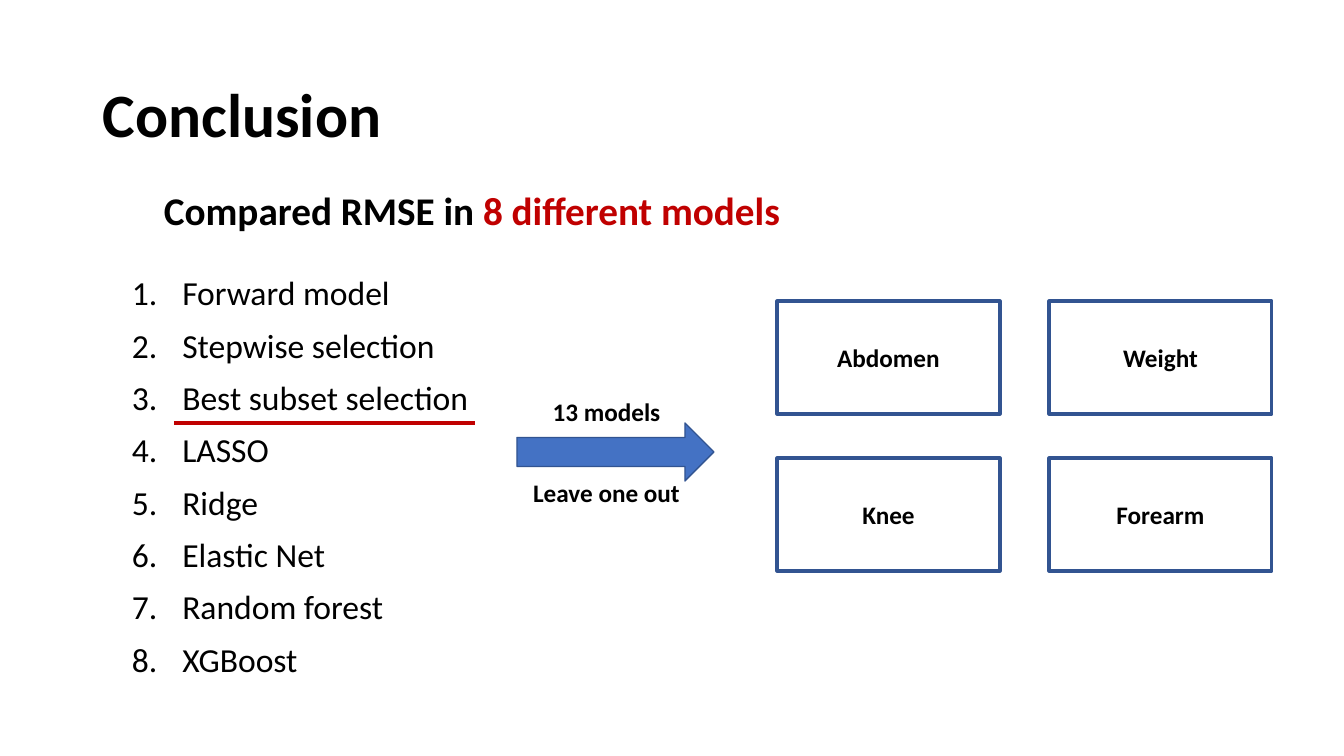
import dataclasses

import pptx
import pptx.dml.color
import pptx.enum.shapes
import pptx.enum.text
import pptx.util
from lxml import etree

PX = 914400 / 100.8


@dataclasses.dataclass(frozen=True)
class Theme:
    font: str = "Calibri"
    ink: str = "000000"
    accent: str = "C00000"
    arrow: str = "4472C4"
    outline: str = "325491"
    title: int = 44
    subtitle: int = 28
    body: int = 24
    label: int = 18


theme = Theme()
rgb = pptx.dml.color.RGBColor.from_string
MSO_SHAPE = pptx.enum.shapes.MSO_SHAPE
ANCHOR = pptx.enum.text.MSO_ANCHOR
CENTER = pptx.enum.text.PP_ALIGN.CENTER


def px(*lengths):
    return [pptx.util.Emu(round(n * PX)) for n in lengths]


def write(sp, lines, size, bold=True, align=None, anchor=ANCHOR.TOP):
    """Fill a shape with one paragraph per line and return the paragraphs."""
    tf = sp.text_frame
    tf.word_wrap = True
    tf.vertical_anchor = anchor
    tf.text = "\n".join(lines)
    for p in tf.paragraphs:
        p.alignment = align
        p.font.name = theme.font
        p.font.size = pptx.util.Pt(size)
        p.font.bold = bold
        p.font.color.rgb = rgb(theme.ink)
    return tf.paragraphs


prs = pptx.Presentation()
prs.slide_width, prs.slide_height = px(1344, 756)
s = prs.slides.add_slide(prs.slide_layouts[6])

# Title
title = s.shapes.add_textbox(*px(93, 55, 907, 126))
write(title, ["Conclusion"], theme.title, anchor=ANCHOR.MIDDLE)[0].line_spacing = 0.9

# Numbered models
models = ["Forward model", "Stepwise selection", "Best subset selection", "LASSO",
          "Ridge", "Elastic Net", "Random forest", "XGBoost"]
model_list = s.shapes.add_textbox(*px(122, 255, 968, 433))
indent = pptx.util.Inches(0.5)
for p in write(model_list, models, theme.body, bold=False):
    p.line_spacing = 1.3
    pPr = p._p.get_or_add_pPr()
    pPr.set("marL", str(indent))
    pPr.set("indent", str(-indent))
    number = etree.Element(pptx.oxml.ns.qn("a:buAutoNum"), type="arabicPeriod")
    pPr.find(pptx.oxml.ns.qn("a:lnSpc")).addnext(number)

# Subtitle
subtitle = s.shapes.add_textbox(*px(154, 181, 1118, 57))
p = write(subtitle, ["Compared RMSE in "], theme.subtitle)[0]
r = p.add_run()
r.text = "8 different models"
r.font.color.rgb = rgb(theme.accent)

# Arrow with its labels
arrow = s.shapes.add_shape(MSO_SHAPE.RIGHT_ARROW, *px(517, 423, 197, 58))
arrow.shadow.inherit = False
arrow.fill.solid()
arrow.fill.fore_color.rgb = rgb(theme.arrow)
arrow.line.color.rgb = rgb(theme.outline)
arrow.line.width = pptx.util.Pt(1)
for text, top in [("13 models", 391), ("Leave one out", 472)]:
    label = s.shapes.add_textbox(*px(508, top, 197, 40))
    write(label, [text], theme.label, align=CENTER)

# Underline of the chosen model
underline = s.shapes.add_connector(
    pptx.enum.shapes.MSO_CONNECTOR.STRAIGHT, *px(174, 423, 475, 423))
underline.line.color.rgb = rgb(theme.accent)
underline.line.width = pptx.util.Pt(2.25)
etree.SubElement(underline._element.spPr, pptx.oxml.ns.qn("a:effectLst"))

# Selected variables
variables = [["Abdomen", "Weight"], ["Knee", "Forearm"]]
for row, names in enumerate(variables):
    for col, name in enumerate(names):
        box = s.shapes.add_shape(
            MSO_SHAPE.RECTANGLE, *px(777 + 272 * col, 301 + 157 * row, 223, 113))
        box.shadow.inherit = False
        box.fill.background()
        box.line.color.rgb = rgb(theme.outline)
        box.line.width = pptx.util.Pt(2.25)
        write(box, [name], theme.label, align=CENTER, anchor=ANCHOR.MIDDLE)

prs.save("out.pptx")
